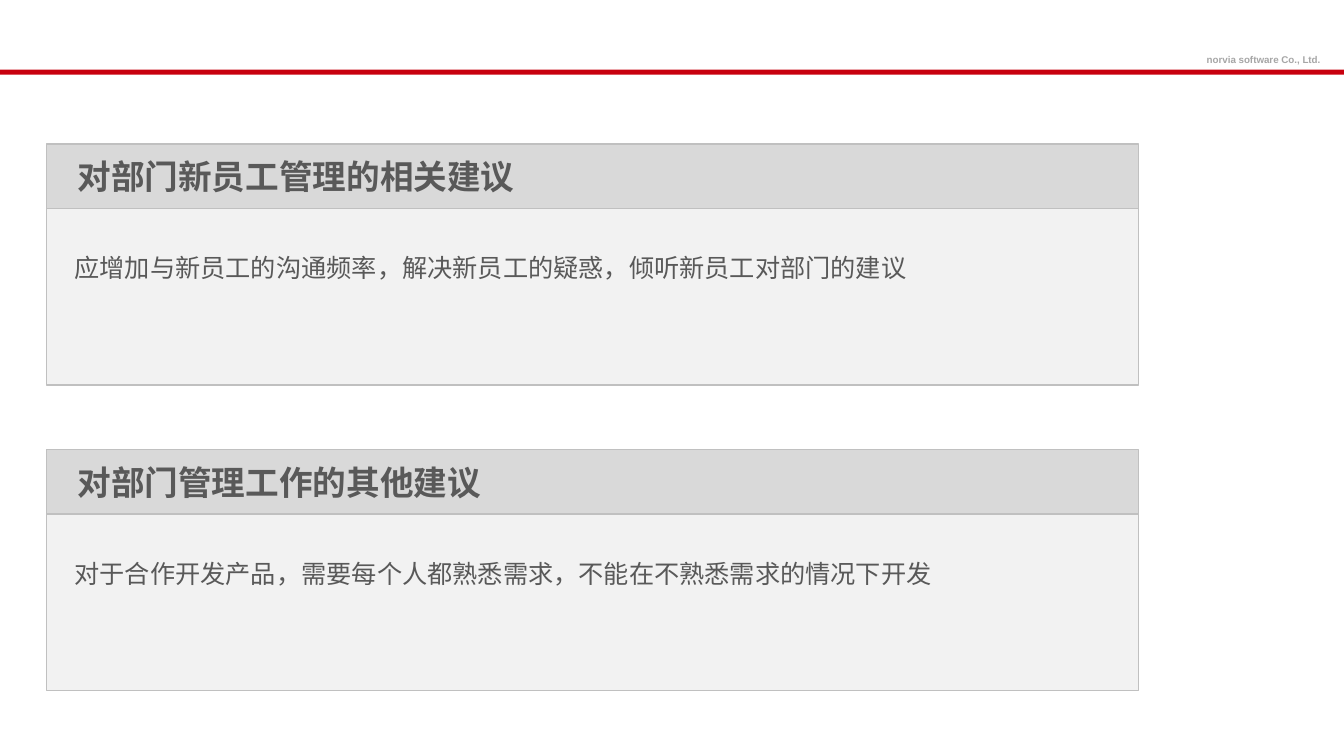
from lxml.etree import SubElement
from pptx import Presentation
from pptx.dml.color import RGBColor
from pptx.enum.shapes import MSO_SHAPE
from pptx.enum.text import MSO_ANCHOR, PP_ALIGN
from pptx.oxml.ns import qn
from pptx.util import Inches, Pt

CJK = "Noto Sans CJK SC"


def add_rect(shapes, x, y, w, h, fill, line=None):
    sp = shapes.add_shape(MSO_SHAPE.RECTANGLE, Inches(x), Inches(y), Inches(w), Inches(h))
    sp.shadow.inherit = False
    sp.fill.solid()
    sp.fill.fore_color.rgb = RGBColor.from_string(fill)
    if line:
        sp.line.color.rgb = RGBColor.from_string(line)
        sp.line.width = Pt(1)
    else:
        sp.line.fill.background()
    return sp


def add_text(sp, text, size, color, font, bold=False, insets=(0.1, 0.05, 0.1, 0.05)):
    """Fill the first paragraph; insets are left, top, right, bottom in inches."""
    tf = sp.text_frame
    tf.word_wrap = True
    tf.margin_left, tf.margin_top, tf.margin_right, tf.margin_bottom = map(Inches, insets)
    p = tf.paragraphs[0]
    p.alignment = PP_ALIGN.LEFT
    r = p.add_run()
    r.text = text
    r.font.size = Pt(size)
    r.font.bold = bold
    r.font.color.rgb = RGBColor.from_string(color)
    r.font.name = font
    SubElement(r.font._element, qn("a:ea")).set("typeface", font)
    return tf


prs = Presentation()
prs.slide_width, prs.slide_height = Inches(13.33), Inches(7.5)
s = prs.slides.add_slide(prs.slide_layouts[6])

# Header
add_rect(s.shapes, 0, 0.69, 13.33, 0.05, "C8000E")
company = s.shapes.add_textbox(Inches(11.87), Inches(0.48), Inches(1.46), Inches(0.22))
add_text(company, "norvia software Co., Ltd.", 7, "A6A6A6", "Arial", bold=True)

# Suggestion panels: a title bar above a body
panels = [
    ("对部门新员工管理的相关建议", "应增加与新员工的沟通频率，解决新员工的疑惑，倾听新员工对部门的建议"),
    ("对部门管理工作的其他建议", "对于合作开发产品，需要每个人都熟悉需求，不能在不熟悉需求的情况下开发"),
]
left, top, width, title_h, body_h, pitch = 0.46, 1.43, 10.83, 0.64, 1.75, 3.03

for i, (title, body) in enumerate(panels):
    y = top + i * pitch
    panel = s.shapes.add_group_shape()
    bar = add_rect(panel.shapes, left, y, width, title_h, "D9D9D9", "C0C0C0")
    tf = add_text(bar, title, 24, "595959", CJK, bold=True, insets=(0.31, 0, 0, 0))
    tf.vertical_anchor = MSO_ANCHOR.MIDDLE

    box = add_rect(panel.shapes, left, y + title_h, width, body_h, "F2F2F2", "C0C0C0")
    tf = add_text(box, body, 18, "595959", CJK, insets=(0.28, 0.46, 0.16, 0.08))
    tf.vertical_anchor = MSO_ANCHOR.TOP
    tf.paragraphs[0].line_spacing = 0.95

prs.save("out.pptx")
